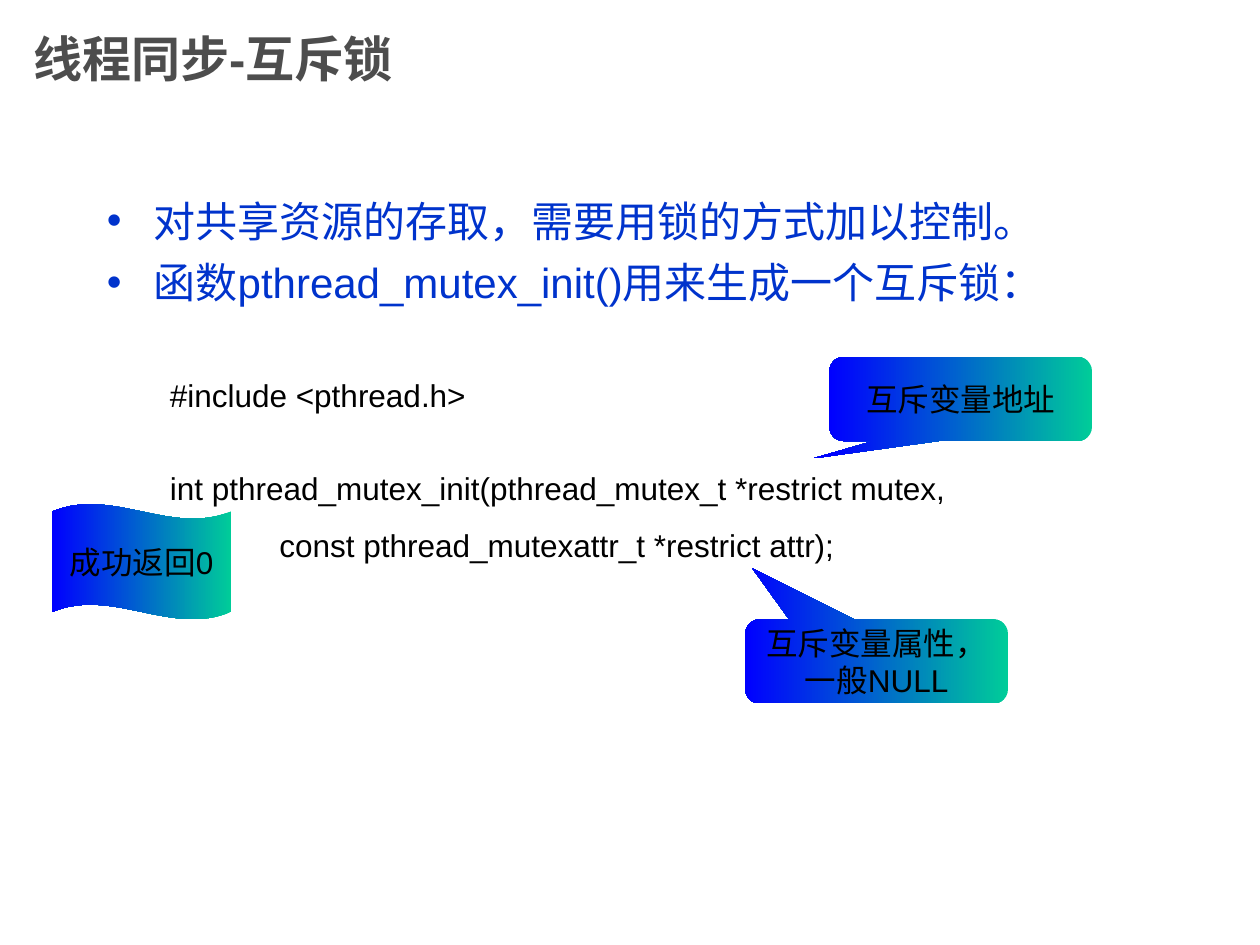
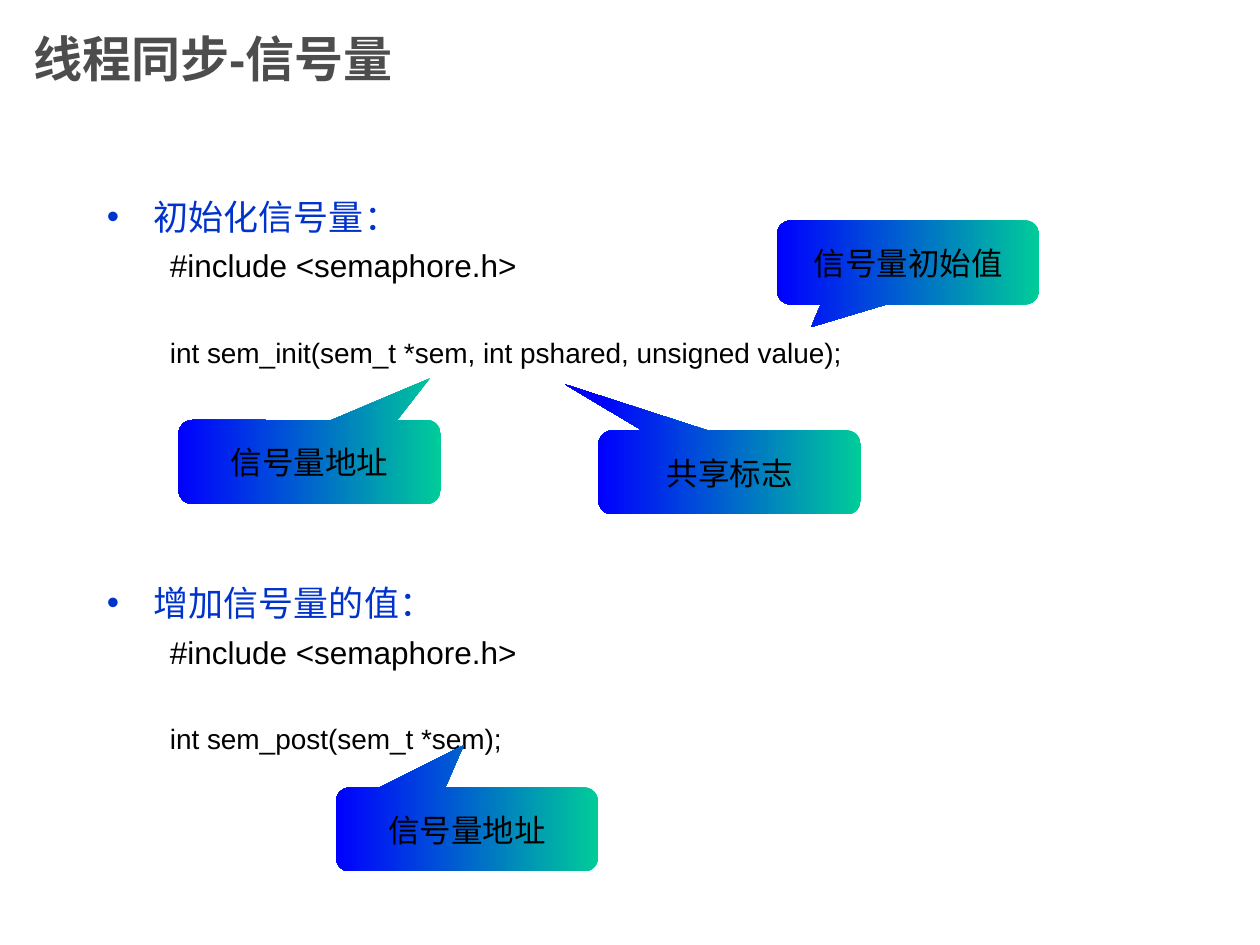
import pptx
import pptx.dml.color
import pptx.enum.shapes
import pptx.enum.text
import pptx.oxml
import pptx.oxml.ns
import pptx.util

Pt = pptx.util.Pt
Shapes = pptx.enum.shapes.MSO_SHAPE
Align = pptx.enum.text.PP_ALIGN
Anchor = pptx.enum.text.MSO_ANCHOR

COLORS = {
    "title": "4D4D4D",
    "bullet": "0033CC",
    "code": "000000",
    "gradient_start": "00CC99",
    "gradient_end": "0000FF",
}
FONT = "Arial"
BULLET_INDENT = 26.8
CODE_INDENT = 36
PARAMETER_INDENT = 98.6
CALLOUT_WIDTH, CALLOUT_HEIGHT = 150, 48


def rgb(name):
    return pptx.dml.color.RGBColor.from_string(COLORS[name])


class Deck:
    """Holds the shared style and the current slide."""

    def __init__(self):
        self.presentation = pptx.Presentation()
        self.presentation.slide_width = Pt(720)
        self.presentation.slide_height = Pt(540)
        self.slide = None
        self.body = None

    def add_run(self, paragraph, text, size, color, bold=False):
        run = paragraph.add_run()
        run.text = text
        run.font.name = FONT
        run.font.size = Pt(size)
        run.font.bold = bold
        run.font.color.rgb = rgb(color)

    def text_box(self, left, top, width, height, anchor):
        box = self.slide.shapes.add_textbox(Pt(left), Pt(top), Pt(width), Pt(height))
        box.text_frame.word_wrap = True
        box.text_frame.vertical_anchor = anchor
        return box.text_frame

    def start_slide(self, title):
        self.slide = self.presentation.slides.add_slide(self.presentation.slide_layouts[6])
        heading = self.text_box(12, 0, 540, 66, Anchor.MIDDLE)
        self.add_run(heading.paragraphs[0], title, 28, "title", bold=True)
        self.body = self.text_box(54, 108, 612, 372, Anchor.TOP)

    def body_line(self, text, size, color, before, margin, hanging=0):
        paragraph = self.body.paragraphs[0]
        if paragraph.runs:
            paragraph = self.body.add_paragraph()
        paragraph.space_before = Pt(before)
        properties = paragraph._p.get_or_add_pPr()
        properties.set("marL", str(Pt(margin)))
        properties.set("indent", str(-Pt(hanging)))
        self.add_run(paragraph, text, size, color)
        return properties

    def bullet(self, text, size, before):
        properties = self.body_line(text, size, "bullet", before, BULLET_INDENT, BULLET_INDENT)
        namespace = pptx.oxml.ns.nsdecls("a")
        for xml in (
            f'<a:buClr {namespace}><a:srgbClr val="{COLORS["bullet"]}"/></a:buClr>',
            f'<a:buFont {namespace} typeface="{FONT}"/>',
            f'<a:buChar {namespace} char="•"/>',
        ):
            properties.append(pptx.oxml.parse_xml(xml))

    def code(self, text, size, before, margin=CODE_INDENT):
        self.body_line(text, size, "code", before, margin)

    def gradient_shape(self, kind, left, top, width, height, text, adjustments, wrap=True):
        shape = self.slide.shapes.add_shape(kind, Pt(left), Pt(top), Pt(width), Pt(height))
        for index, value in enumerate(adjustments):
            shape.adjustments[index] = value
        shape.shadow.inherit = False
        shape.line.fill.background()
        shape.fill.gradient()
        shape.fill.gradient_angle = 180
        for stop, color in zip(shape.fill.gradient_stops, ("gradient_start", "gradient_end")):
            stop.color.rgb = rgb(color)
        shape.text_frame.word_wrap = wrap
        shape.text_frame.vertical_anchor = Anchor.MIDDLE
        paragraph = shape.text_frame.paragraphs[0]
        paragraph.alignment = Align.CENTER
        self.add_run(paragraph, text, 18, "code")

    def callout(self, left, top, tip_x, tip_y, text):
        # The tip is stored relative to the centre, in units of the box size
        adjustments = (
            (tip_x - left) / CALLOUT_WIDTH - 0.5,
            (tip_y - top) / CALLOUT_HEIGHT - 0.5,
            0.167,
        )
        self.gradient_shape(Shapes.ROUNDED_RECTANGULAR_CALLOUT, left, top,
                            CALLOUT_WIDTH, CALLOUT_HEIGHT, text, adjustments)

    def wave(self, left, top, width, height, text):
        self.gradient_shape(Shapes.WAVE, left, top, width, height, text, (0.065, 0), wrap=False)


def build_mutex_slide(deck):
    deck.start_slide("线程同步-互斥锁")
    # Explanation and prototype
    deck.bullet("对共享资源的存取，需要用锁的方式加以控制。", 24, 6)
    deck.bullet("函数pthread_mutex_init()用来生成一个互斥锁：", 24, 6.5)
    deck.code("#include <pthread.h>", 18, 39.5)
    deck.code("int pthread_mutex_init(pthread_mutex_t *restrict mutex,", 18, 31.5)
    deck.code("const pthread_mutexattr_t *restrict attr);", 18, 11, PARAMETER_INDENT)
    # Notes on the arguments and the return value
    deck.callout(474, 204, 464.4, 262, "互斥变量地址")
    deck.callout(426, 354, 430, 324.8, "互斥变量属性，一般NULL")
    deck.wave(30, 288, 102, 66, "成功返回0")


def build_semaphore_slide(deck):
    deck.start_slide("线程同步-信号量")
    # Each operation: heading, header file, prototype
    for heading, prototype, before in (
        ("初始化信号量：", "int sem_init(sem_t *sem, int pshared, unsigned value);", 5),
        ("增加信号量的值：", "int sem_post(sem_t *sem);", 121.5),
    ):
        deck.bullet(heading, 20, before)
        deck.code("#include <semaphore.h>", 18, 5.3)
        deck.code(prototype, 16, 29)
    # Notes on the arguments
    for left, top, tip_x, tip_y, text in (
        (102, 240, 245.6, 216.2, "信号量地址"),
        (342, 246, 323.1, 219.7, "共享标志"),
        (444, 126, 463.6, 186.9, "信号量初始值"),
        (192, 450, 265, 425.8, "信号量地址"),
    ):
        deck.callout(left, top, tip_x, tip_y, text)


def main():
    deck = Deck()
    build_mutex_slide(deck)
    build_semaphore_slide(deck)
    deck.presentation.save("out.pptx")


if __name__ == "__main__":
    main()
